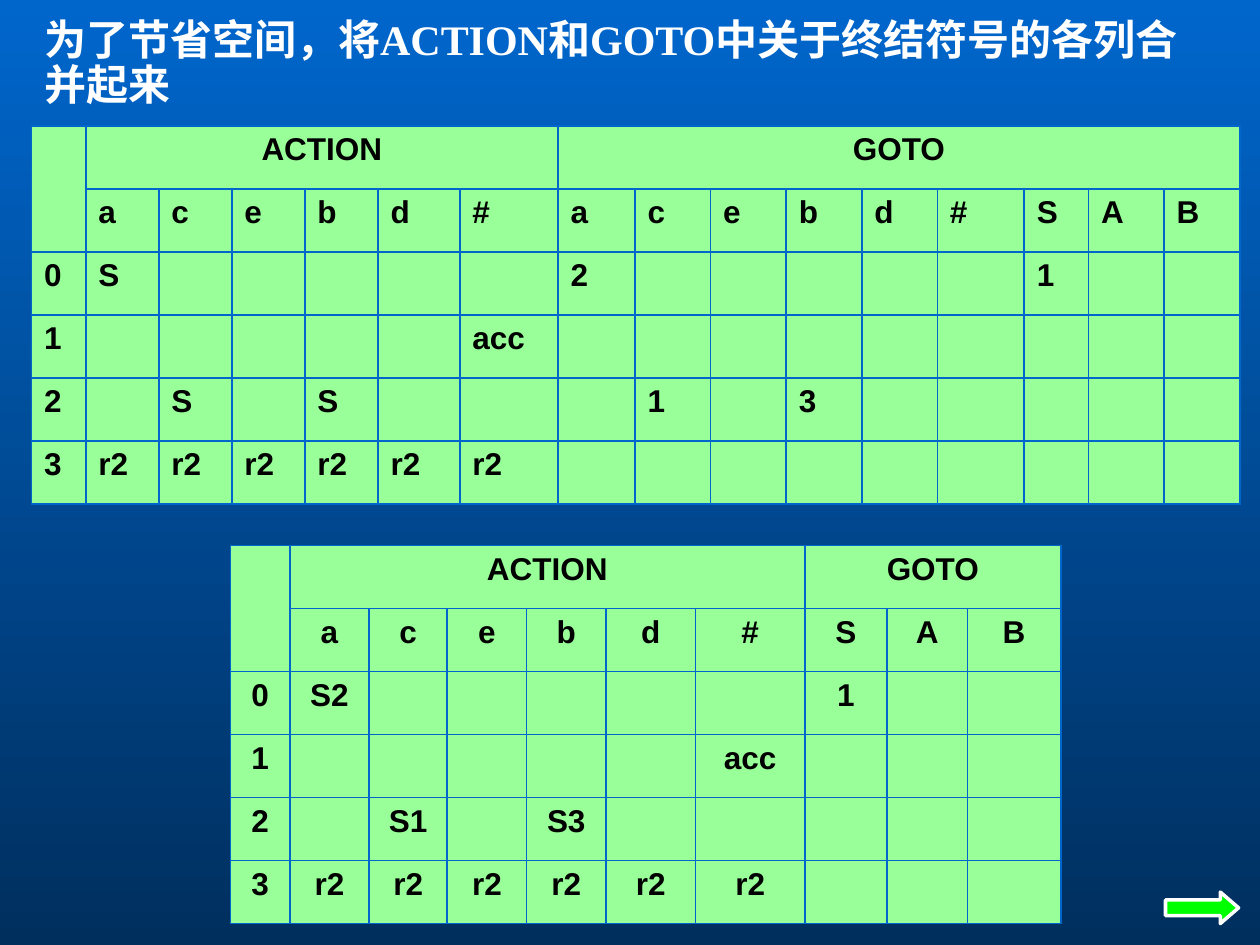
"""Build a slide that merges the ACTION and GOTO columns of a parsing table."""
from dataclasses import dataclass

from lxml.etree import SubElement
from pptx import Presentation
from pptx.dml.color import RGBColor
from pptx.enum.shapes import MSO_SHAPE as Shape
from pptx.enum.text import MSO_ANCHOR as Anchor, MSO_AUTO_SIZE as AutoSize, PP_ALIGN as Align
from pptx.oxml.ns import qn
from pptx.slide import Slide
from pptx.table import _Cell as Cell
from pptx.text.text import _Paragraph as Paragraph
from pptx.util import Inches, Pt

WHITE, BLACK = "FFFFFF", "000000"
BLUE, NAVY = "0066CC", "002F5E"
PALE_GREEN, GREEN = "99FF99", "00FF00"
ROW_HEIGHT = 0.5
TERMINALS = ["a", "c", "e", "b", "d", "#"]
NONTERMINALS = ["S", "A", "B"]


@dataclass
class ParsingTable:
    left: float
    top: float
    widths: list[float]
    goto_symbols: list[str]
    entries: dict[tuple[int, int], str]
    alignment: Align


PARSING_TABLES = [
    ParsingTable(
        0.25, 1,
        [0.43, 0.58, 0.58, 0.58, 0.58, 0.65, 0.78, 0.61, 0.6, 0.6, 0.6, 0.6, 0.69, 0.51, 0.6, 0.6],
        TERMINALS + NONTERMINALS,
        {(0, 1): "S", (0, 7): "2", (0, 13): "1", (1, 6): "acc",
         (2, 2): "S", (2, 4): "S", (2, 8): "1", (2, 10): "3"},
        Align.LEFT,
    ),
    ParsingTable(
        1.83, 4.33,
        [0.47, 0.63, 0.62, 0.63, 0.63, 0.71, 0.87, 0.65, 0.64, 0.74],
        NONTERMINALS,
        {(0, 1): "S2", (0, 7): "1", (1, 6): "acc", (2, 2): "S1", (2, 4): "S3"},
        Align.CENTER,
    ),
]


def color(value: str) -> RGBColor:
    return RGBColor.from_string(value)


def add_run(paragraph: Paragraph, text: str, font_name: str, size: int, font_color: str) -> None:
    run = paragraph.add_run()
    run.text = text
    run.font.name = font_name
    run.font.size = Pt(size)
    run.font.bold = True
    run.font.color.rgb = color(font_color)


def format_cell(cell: Cell) -> None:
    properties = cell._tc.get_or_add_tcPr()
    for side in ("a:lnL", "a:lnR", "a:lnT", "a:lnB"):
        border = SubElement(properties, qn(side), w=str(Pt(1.08)))
        SubElement(SubElement(border, qn("a:solidFill")), qn("a:srgbClr"), val=BLUE)
    cell.fill.solid()
    cell.fill.fore_color.rgb = color(PALE_GREEN)


def write_cell(cell: Cell, text: str, alignment: Align) -> None:
    paragraph = cell.text_frame.paragraphs[0]
    paragraph.alignment = alignment
    add_run(paragraph, text, "Arial", 18, BLACK)


def add_parsing_table(slide: Slide, content: ParsingTable) -> None:
    symbols = TERMINALS + content.goto_symbols
    goto_start = len(TERMINALS) + 1
    rows, columns = 6, len(content.widths)
    table = slide.shapes.add_table(
        rows, columns, Inches(content.left), Inches(content.top),
        Inches(sum(content.widths)), Inches(rows * ROW_HEIGHT),
    ).table
    table.first_row = table.horz_banding = False
    for column, width in zip(table.columns, content.widths):
        column.width = Inches(width)
    for row in table.rows:
        row.height = Inches(ROW_HEIGHT)
    for cell in table.iter_cells():
        format_cell(cell)

    table.cell(0, 0).merge(table.cell(1, 0))
    for heading, first, last in (("ACTION", 1, goto_start - 1), ("GOTO", goto_start, columns - 1)):
        table.cell(0, first).merge(table.cell(0, last))
        write_cell(table.cell(0, first), heading, Align.CENTER)
    for column, symbol in enumerate(symbols, start=1):
        write_cell(table.cell(1, column), symbol, content.alignment)

    states = {(state, 0): str(state) for state in range(4)}
    reductions = {(3, column): "r2" for column in range(1, goto_start)}
    for (state, column), text in (states | content.entries | reductions).items():
        write_cell(table.cell(state + 2, column), text, content.alignment)


def set_background(slide: Slide) -> None:
    fill = slide.background.fill
    fill.gradient()
    fill.gradient_angle = 270
    for stop, position, value in zip(fill.gradient_stops, (0, 1), (BLUE, NAVY)):
        stop.position = position
        stop.color.rgb = color(value)


def format_title(slide: Slide) -> None:
    title = slide.shapes.title
    title.left, title.top = Inches(0.25), Inches(0.1)
    title.width, title.height = Inches(9.5), Inches(0.82)
    frame = title.text_frame
    frame.word_wrap = True
    frame.auto_size = AutoSize.NONE
    frame.vertical_anchor = Anchor.TOP
    paragraph = frame.paragraphs[0]
    paragraph.alignment = Align.LEFT
    paragraph.line_spacing = 0.9
    paragraph.space_before = Pt(0)
    add_run(paragraph, "为了节省空间，将ACTION和GOTO中关于终结符号的各列合并起来",
            "Times New Roman", 24, WHITE)


def add_next_arrow(slide: Slide) -> None:
    arrow = slide.shapes.add_shape(
        Shape.RIGHT_ARROW, Inches(9.25), Inches(7.08), Inches(0.58), Inches(0.25))
    arrow.adjustments[0] = 0.5
    arrow.adjustments[1] = 0.58
    arrow.shadow.inherit = False
    arrow.fill.solid()
    arrow.fill.fore_color.rgb = color(GREEN)
    arrow.line.color.rgb = color(WHITE)
    arrow.line.width = Pt(2)


def main() -> None:
    presentation = Presentation()
    presentation.slide_width, presentation.slide_height = Inches(10), Inches(7.5)
    slide = presentation.slides.add_slide(presentation.slide_layouts[5])
    set_background(slide)
    format_title(slide)
    for content in PARSING_TABLES:
        add_parsing_table(slide, content)
    add_next_arrow(slide)
    presentation.save("out.pptx")


if __name__ == "__main__":
    main()
